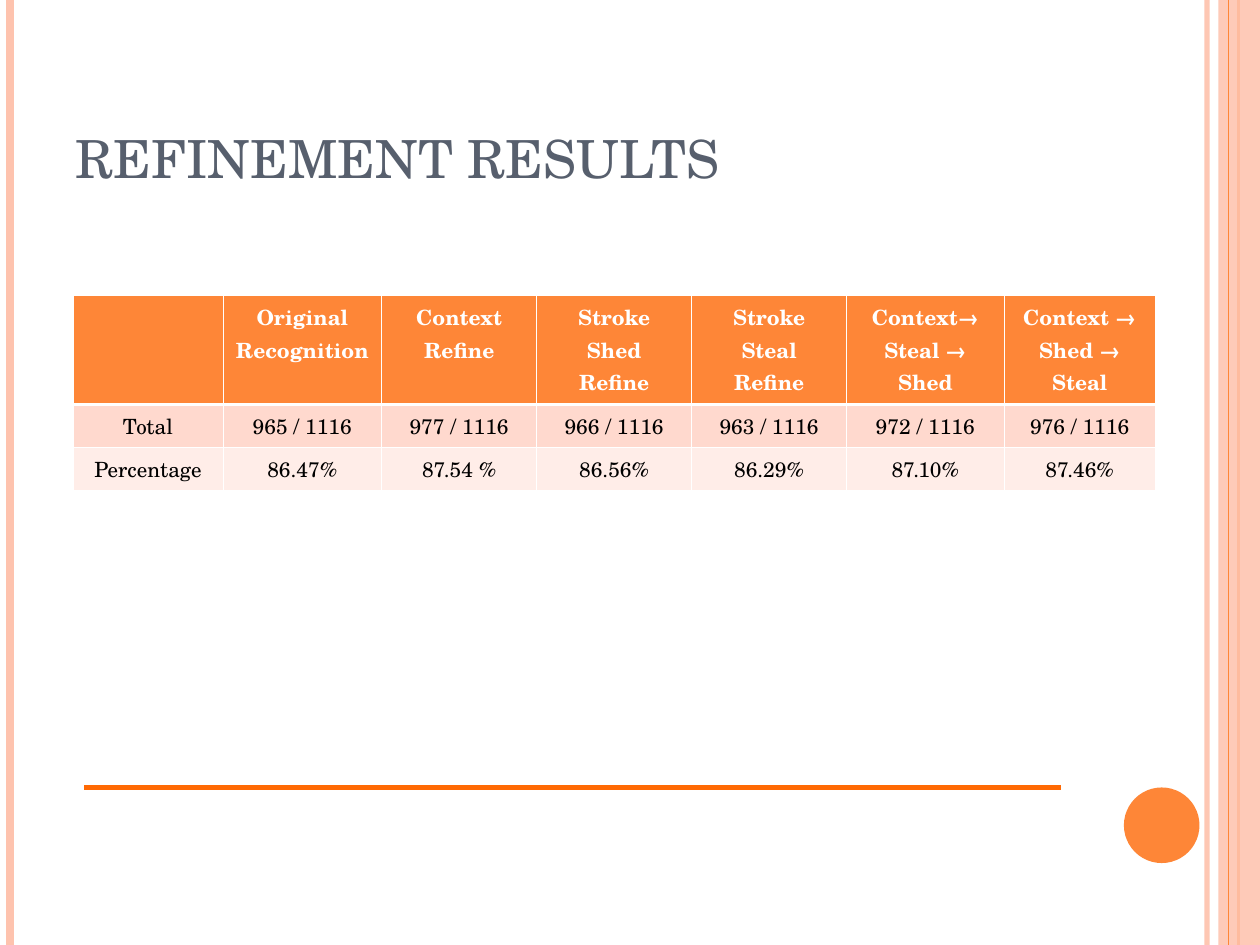
import pptx
import pptx.util
import pptx.dml.color
import pptx.enum.shapes
import pptx.enum.text
import pptx.oxml.ns
import lxml.etree

Inches = pptx.util.Inches
Pt = pptx.util.Pt
RGBColor = pptx.dml.color.RGBColor
qn = pptx.oxml.ns.qn

ORANGE = RGBColor(0xFE, 0x86, 0x37)
DEEP_ORANGE = RGBColor(0xFF, 0x69, 0x03)
PEACH = RGBColor(0xFE, 0xC3, 0xAE)
LIGHT_PEACH = RGBColor(0xFF, 0xD9, 0xCE)
PALE_PEACH = RGBColor(0xFF, 0xED, 0xE8)
SLATE = RGBColor(0x57, 0x5F, 0x6D)
WHITE = RGBColor(0xFF, 0xFF, 0xFF)
BLACK = RGBColor(0, 0, 0)
FONT = "TeX Gyre Schola"


def set_alpha(parent, percent):
    color = parent.find(".//" + qn("a:srgbClr"))
    lxml.etree.SubElement(color, qn("a:alpha"), val=str(percent * 1000))


def add_border(cell, side, width):
    props = cell._tc.get_or_add_tcPr()
    line = lxml.etree.SubElement(props, qn("a:ln" + side), w=str(Pt(width)))
    fill = lxml.etree.SubElement(line, qn("a:solidFill"))
    lxml.etree.SubElement(fill, qn("a:srgbClr"), val=str(WHITE))


deck = pptx.Presentation()
deck.slide_width = Inches(10)
deck.slide_height = Inches(7.5)
page = deck.slides.add_slide(deck.slide_layouts[6])

rules = [
    (9.58, 0, 9.58, 7.5, PEACH, 3, 93),
    (0.08, 0, 0.08, 7.5, PEACH, 4.5, 100),
    (9.83, 0, 9.83, 7.5, ORANGE, 1.5, 100),
    (9.75, 0, 9.75, 7.5, ORANGE, 0.75, 100),
    (0.67, 6.25, 8.42, 6.25, DEEP_ORANGE, 2.5, 100),
]
for x1, y1, x2, y2, color, width, alpha in rules:
    rule = page.shapes.add_connector(
        pptx.enum.shapes.MSO_CONNECTOR.STRAIGHT,
        Inches(x1), Inches(y1), Inches(x2), Inches(y2))
    rule.line.color.rgb = color
    rule.line.width = Pt(width)
    if alpha < 100:
        set_alpha(rule._element.spPr, alpha)
    lxml.etree.SubElement(rule._element.spPr, qn("a:effectLst"))

band = page.shapes.add_shape(
    pptx.enum.shapes.MSO_SHAPE.RECTANGLE, Inches(9.67), 0, Inches(0.33), Inches(7.5))
circle = page.shapes.add_shape(
    pptx.enum.shapes.MSO_SHAPE.OVAL, Inches(8.92), Inches(6.25), Inches(0.6), Inches(0.6))
for shape, color in ((band, PEACH), (circle, ORANGE)):
    shape.shadow.inherit = False
    shape.fill.solid()
    shape.fill.fore_color.rgb = color
    shape.line.fill.background()
set_alpha(band._element.spPr, 87)
page.shapes[3]._element.addprevious(band._element)

title = page.shapes.add_textbox(Inches(0.5), Inches(0.3), Inches(8.17), Inches(1.25))
title.text_frame.word_wrap = True
title.text_frame.vertical_anchor = pptx.enum.text.MSO_ANCHOR.BOTTOM
title.text_frame.text = "REFINEMENT RESULTS"
title_font = title.text_frame.paragraphs[0].runs[0].font
title_font.name = FONT
title_font.size = Pt(30)
title_font.color.rgb = SLATE

results = [
    ["", "Original Recognition", "Context Refine", "Stroke Shed Refine",
     "Stroke Steal Refine", "Context→ Steal → Shed", "Context → Shed → Steal"],
    ["Total", "965 / 1116", "977 / 1116", "966 / 1116",
     "963 / 1116", "972 / 1116", "976 / 1116"],
    ["Percentage", "86.47%", "87.54 %", "86.56%", "86.29%", "87.10%", "87.46%"],
]
column_widths = [1.19, 1.26, 1.23, 1.23, 1.23, 1.25, 1.2]
row_styles = [
    (0.87, ORANGE, WHITE, 0.45, 1.47),
    (0.34, LIGHT_PEACH, BLACK, 1.47, 0.45),
    (0.34, PALE_PEACH, BLACK, 0.45, 0.45),
]
table = page.shapes.add_table(
    len(results), len(column_widths),
    Inches(0.58), Inches(2.34), Inches(8.58), Inches(1.55)).table
for column, width in zip(table.columns, column_widths):
    column.width = Inches(width)
for row, texts, style in zip(table.rows, results, row_styles):
    height, fill_color, text_color, top, bottom = style
    row.height = Inches(height)
    for cell, text in zip(row.cells, texts):
        for side, width in (("L", 0.45), ("R", 0.45), ("T", top), ("B", bottom)):
            add_border(cell, side, width)
        cell.fill.solid()
        cell.fill.fore_color.rgb = fill_color
        cell.text_frame.text = text
        para = cell.text_frame.paragraphs[0]
        para.alignment = pptx.enum.text.PP_ALIGN.CENTER
        for span in para.runs:
            span.font.name = FONT
            span.font.size = Pt(12)
            span.font.bold = text_color == WHITE
            span.font.color.rgb = text_color

deck.save("out.pptx")
